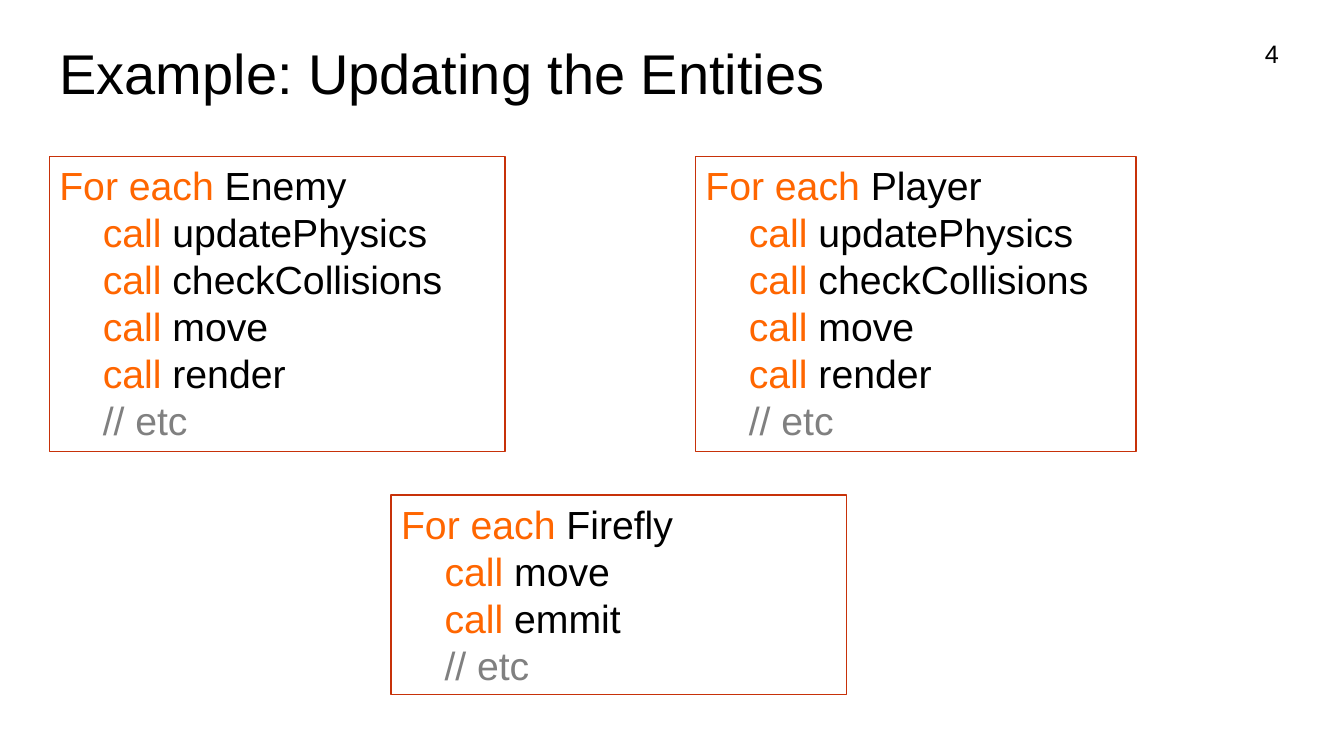
from pptx import Presentation
from pptx.dml.color import RGBColor
from pptx.enum.shapes import MSO_SHAPE as Shape
from pptx.enum.text import MSO_ANCHOR as Anchor, PP_ALIGN as Align
from pptx.util import Pt

FONT = "Arial"
BLACK, WHITE, KEYWORD, COMMENT, BORDER = "000000", "FFFFFF", "FF6600", "808080", "C73109"
INDENT = "    "
TITLE_BOX = (35.3, 23.8, 888.5, 55.4)
NUMBER_BOX = (896.4, 23.8, 38.9, 28.8)
FULL_UPDATE = ["updatePhysics", "checkCollisions", "move", "render"]
ENTITIES = [
    ("Enemy", FULL_UPDATE, (35.3, 111.6, 325.4, 211)),
    ("Player", FULL_UPDATE, (496.8, 111.6, 314.6, 211)),
    ("Firefly", ["move", "emmit"], (279.4, 353.5, 325.4, 142.6)),
]


def color(value):
    return RGBColor.from_string(value)


def points(box):
    return [Pt(length) for length in box]


def set_attributes(target, values):
    for name, value in values.items():
        setattr(target, name, value)


def add_run(paragraph, text, size, fill=BLACK):
    run = paragraph.add_run()
    run.text = text
    set_attributes(run.font, {"name": FONT, "size": Pt(size)})
    run.font.color.rgb = color(fill)


def fill_title(slide, text, box):
    title = slide.shapes.title
    set_attributes(title, dict(zip(("left", "top", "width", "height"), points(box))))
    set_attributes(title.text_frame, {"word_wrap": True, "vertical_anchor": Anchor.TOP})
    paragraph = title.text_frame.paragraphs[0]
    paragraph.alignment = Align.LEFT
    add_run(paragraph, text, 40)


def add_slide_number(slide, number, box):
    frame = slide.shapes.add_textbox(*points(box)).text_frame
    frame.word_wrap = True
    add_run(frame.paragraphs[0], number, 18)


def add_update_loop(slide, entity, calls, box):
    """Add a framed pseudo-code loop that makes the calls on each entity."""
    shape = slide.shapes.add_shape(Shape.RECTANGLE, *points(box))
    shape.shadow.inherit = False
    shape.fill.solid()
    shape.fill.fore_color.rgb = color(WHITE)
    shape.line.color.rgb = color(BORDER)
    shape.line.width = Pt(1)

    frame = shape.text_frame
    set_attributes(frame, {"word_wrap": True, "vertical_anchor": Anchor.TOP})
    lines = [[("For each ", KEYWORD), (entity, BLACK)]]
    lines += [[(INDENT + "call ", KEYWORD), (call, BLACK)] for call in calls]
    lines.append([(INDENT + "// etc", COMMENT)])
    for index, line in enumerate(lines):
        paragraph = frame.add_paragraph() if index else frame.paragraphs[0]
        paragraph.alignment = Align.LEFT
        for text, fill in line:
            add_run(paragraph, text, 28, fill)


def main():
    presentation = Presentation()
    set_attributes(presentation, {"slide_width": Pt(960), "slide_height": Pt(540)})
    slide = presentation.slides.add_slide(presentation.slide_layouts.get_by_name("Title Only"))
    fill_title(slide, "Example: Updating the Entities", TITLE_BOX)
    for entity, calls, box in ENTITIES:
        add_update_loop(slide, entity, calls, box)
    add_slide_number(slide, "4", NUMBER_BOX)
    presentation.save("out.pptx")


if __name__ == "__main__":
    main()
